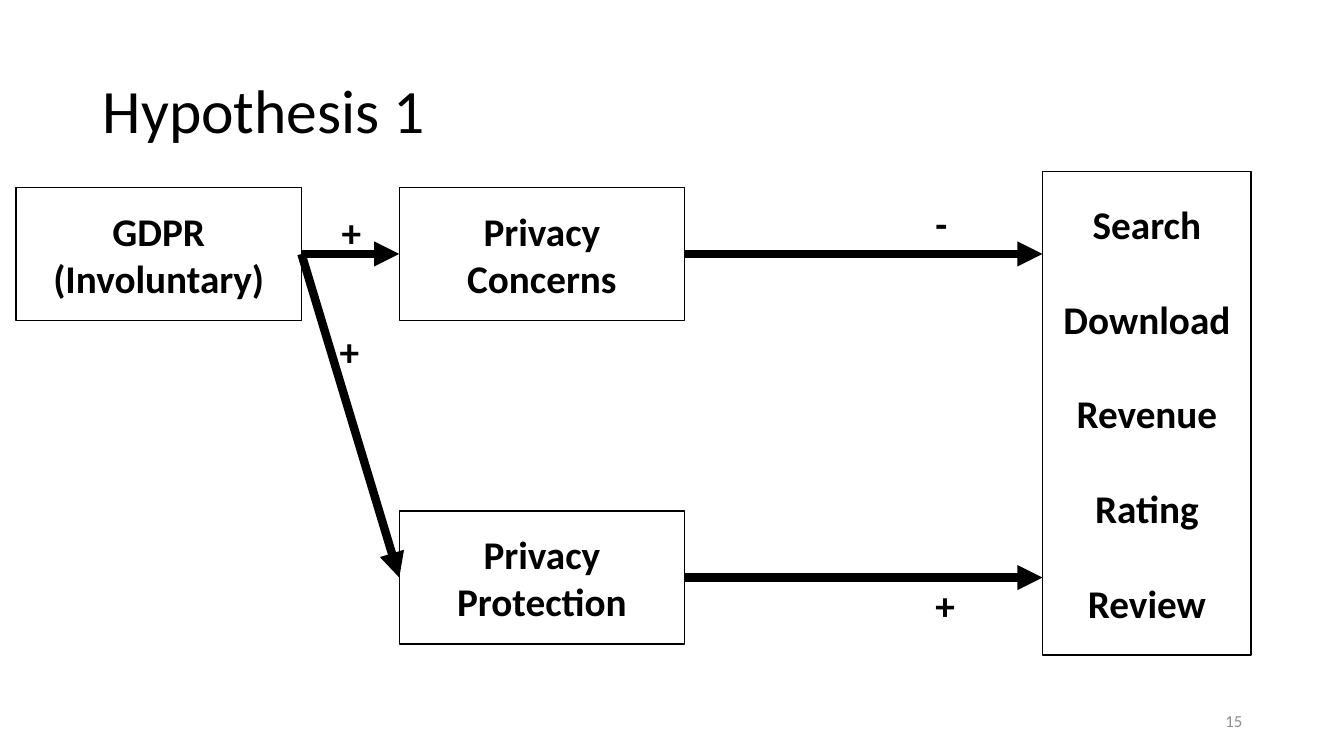
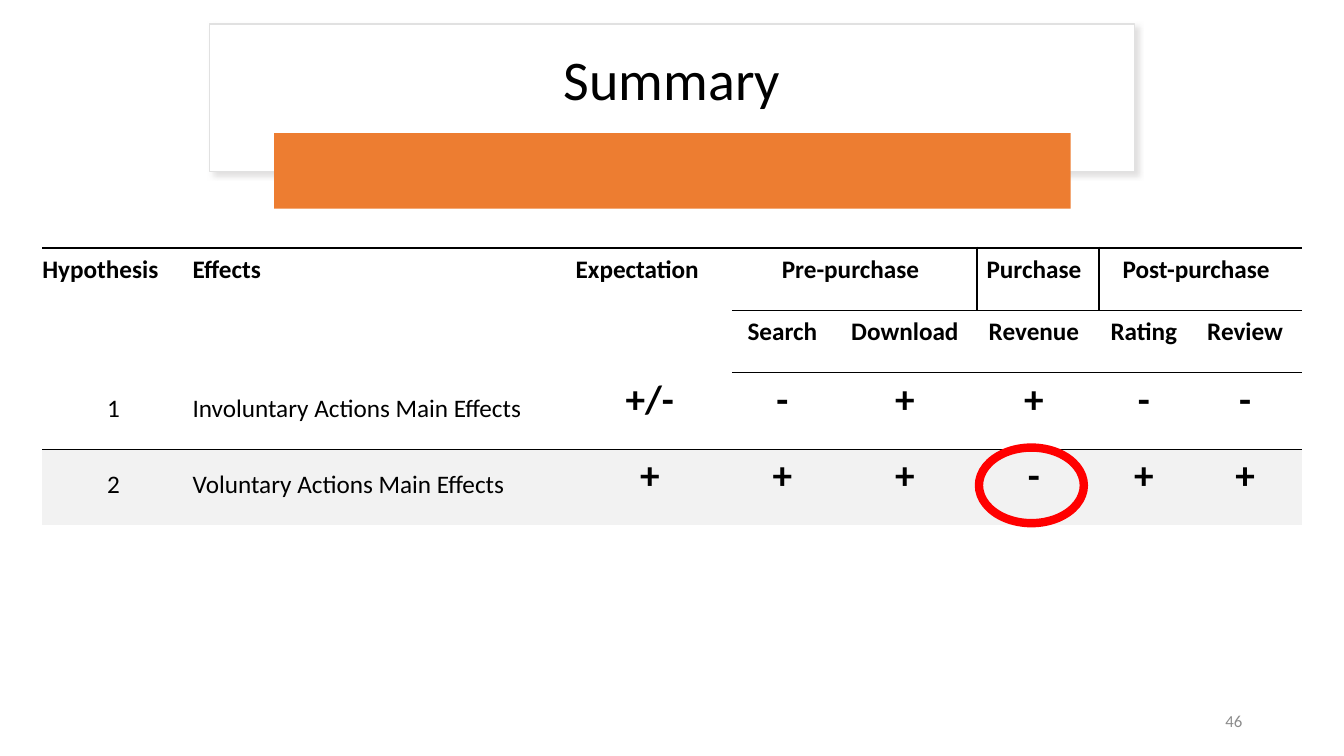
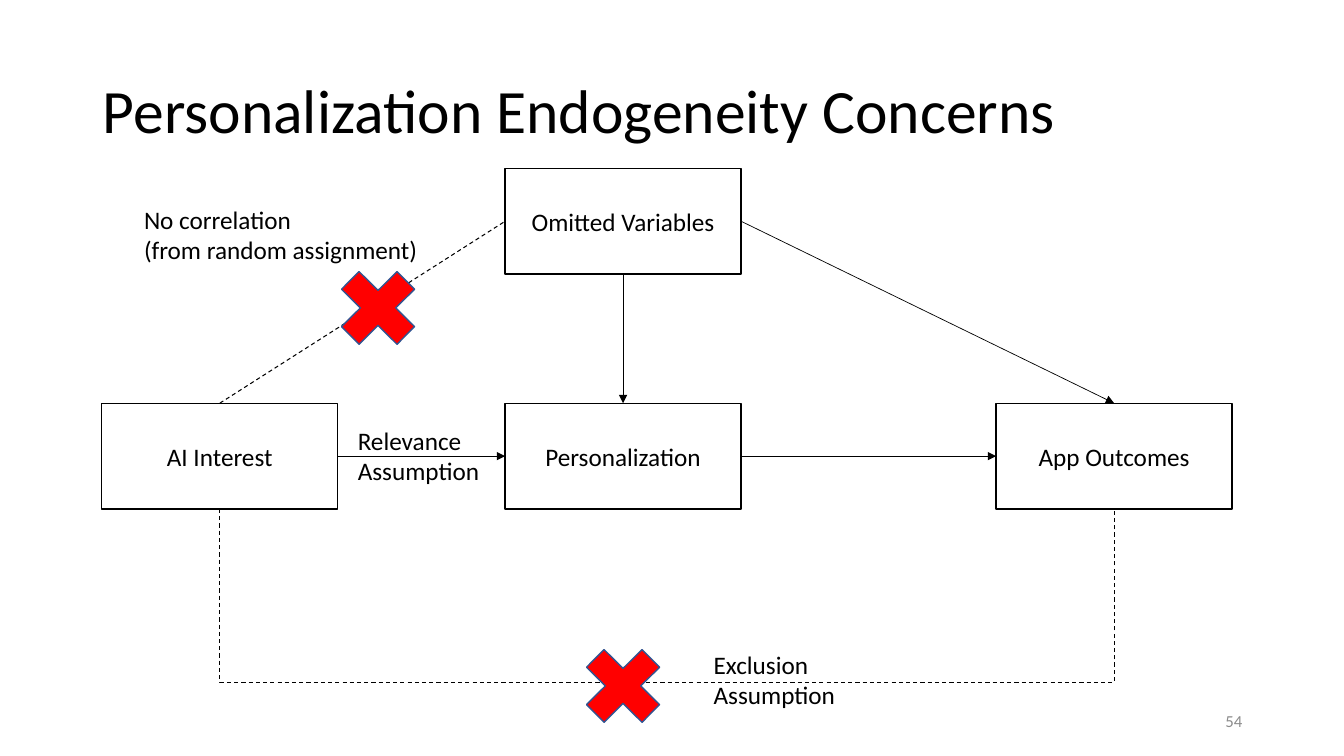
from lxml import etree
from pptx import Presentation
from pptx.dml.color import RGBColor
from pptx.enum.dml import MSO_LINE
from pptx.enum.shapes import MSO_CONNECTOR, MSO_SHAPE
from pptx.enum.text import MSO_ANCHOR, MSO_AUTO_SIZE, PP_ALIGN
from pptx.oxml import parse_xml
from pptx.oxml.ns import nsdecls, qn
from pptx.util import Inches, Pt

# Shared style
COLORS = {
    "ink": "000000", "paper": "FFFFFF", "number": "8C8C8C", "accent": "ED7D31",
    "panel_line": "E1E1E1", "shadow": "C5C3C3", "band": "F2F2F2",
    "red": "FF0000", "cross_line": "325491",
}
FONT = "Calibri"
TITLE_AREA = (0.92, 0.4, 11.5, 1.45)
NUMBER_AREA = (9.42, 6.95, 3, 0.4)
NO_STYLE_TABLE = "{2D5ABB26-0587-4C30-8999-92F81FD0307C}"

# Slide 1: areas are left, top, width, height
CAUSE_SIZE = (2.83, 1.32)
CAUSES = {
    "gdpr": (["GDPR", "(Involuntary)"], (0.16, 1.86)),
    "concerns": (["Privacy Concerns"], (3.96, 1.86)),
    "protection": (["Privacy Protection"], (3.96, 5.07)),
}
OUTCOMES = ["Search", "Download", "Revenue", "Rating", "Review"]
OUTCOMES_AREA = (10.34, 1.7, 2.07, 4.8)
SIGN_SIZE = (0.62, 0.57)
SIGNS = [("+", (3.29, 2.02)), ("+", (3.27, 3.2)),
         ("-", (9.18, 1.93)), ("+", (9.18, 5.72))]

# Slide 2
COLUMN_WIDTHS = [1.49, 3.8, 1.55, 1.08, 1.35, 1.21, 0.97, 1.04]
ROW_HEIGHT = 0.62
SUMMARY_ROWS = [
    ["Hypothesis", "Effects", "Expectation", "Pre-purchase", "", "Purchase",
     "Post-purchase", ""],
    ["", "", "", "Search", "Download", "Revenue", "Rating", "Review"],
    ["1", "Involuntary Actions Main Effects", "+/-", "-", "+", "+", "-", "-"],
    ["2", "Voluntary Actions Main Effects", "+", "+", "+", "-", "+", "+"],
]
MERGED_HEADS = [(3, 4), (6, 7)]
FIRST_OUTCOME = 3
PURCHASE = 5

# Slide 3
NODE_SIZE = (2.34, 1.05)
NODES = {
    "interest": ("AI Interest", (1.01, 4)),
    "personalization": ("Personalization", (5.01, 4)),
    "app": ("App Outcomes", (9.88, 4)),
    "omitted": ("Omitted Variables", (5.01, 1.67)),
}
NODE_ARROWS = [
    ("omitted", "bottom", "personalization", "top"),
    ("omitted", "right", "app", "top"),
    ("interest", "right", "personalization", "left"),
    ("personalization", "right", "app", "left"),
]
EXCLUSION_Y = 6.77
CROSS_SIZE = (1.06, 1.05)
CROSSES = [(3.22, 2.53), (5.65, 6.28)]
NOTES = [
    (["Relevance", "Assumption"], (3.45, 4.17, 2.22, 0.71)),
    (["Exclusion", "Assumption"], (6.98, 6.39, 2.22, 0.71)),
    (["No correlation", "(from random assignment)"], (1.33, 1.98, 3.32, 0.71)),
]


def color(name):
    return RGBColor.from_string(COLORS[name])


def inches(values):
    return [Inches(value) for value in values]


def edge(area, side):
    """Middle of one side of an area."""
    left, top, width, height = area
    x, y = {"left": (0, 0.5), "right": (1, 0.5),
            "top": (0.5, 0), "bottom": (0.5, 1)}[side]
    return left + x * width, top + y * height


def write(frame, lines, size, bold=False, align=PP_ALIGN.LEFT, ink="ink", gap=0):
    for index, line in enumerate(lines):
        paragraph = frame.paragraphs[0] if index == 0 else frame.add_paragraph()
        paragraph.alignment = align
        if index and gap:
            paragraph.space_before = Pt(gap)
        run = paragraph.add_run()
        run.text = line
        run.font.name = FONT
        run.font.size = Pt(size)
        run.font.bold = bold
        run.font.color.rgb = color(ink)


def add_text(slide, lines, area, size, anchor=MSO_ANCHOR.TOP, **style):
    frame = slide.shapes.add_textbox(*inches(area)).text_frame
    frame.word_wrap = True
    frame.vertical_anchor = anchor
    write(frame, lines, size, **style)


def add_figure(slide, kind, area, fill=None, line=None, width=1):
    shape = slide.shapes.add_shape(kind, *inches(area))
    shape.shadow.inherit = False
    if fill:
        shape.fill.solid()
        shape.fill.fore_color.rgb = color(fill)
    else:
        shape.fill.background()
    if line:
        shape.line.color.rgb = color(line)
        shape.line.width = Pt(width)
    else:
        shape.line.fill.background()
    return shape


def add_box(slide, lines, area, size, bold=False, gap=0):
    shape = add_figure(slide, MSO_SHAPE.RECTANGLE, area, "paper", "ink")
    shape.text_frame.word_wrap = True
    shape.text_frame.vertical_anchor = MSO_ANCHOR.MIDDLE
    write(shape.text_frame, lines, size, bold, PP_ALIGN.CENTER, gap=gap)


def add_line(slide, start, end, width, arrow=True, dashed=False):
    connector = slide.shapes.add_connector(
        MSO_CONNECTOR.STRAIGHT, *inches(start + end))
    connector.line.color.rgb = color("ink")
    connector.line.width = Pt(width)
    if dashed:
        connector.line.dash_style = MSO_LINE.DASH
    if arrow:
        etree.SubElement(connector.line._get_or_add_ln(), qn("a:tailEnd"),
                         type="triangle")
    etree.SubElement(connector._element.spPr, qn("a:effectLst"))


def add_title(slide, text, area=TITLE_AREA, size=44, align=PP_ALIGN.LEFT):
    title = slide.shapes.title
    title.left, title.top, title.width, title.height = inches(area)
    frame = title.text_frame
    frame.word_wrap = True
    frame.auto_size = MSO_AUTO_SIZE.NONE
    frame.vertical_anchor = MSO_ANCHOR.MIDDLE
    write(frame, [text], size, align=align)
    frame.paragraphs[0].line_spacing = 0.9
    # Bring the title in front of anything already drawn
    slide.shapes._spTree.append(title._element)


def new_slide(presentation, number):
    slide = presentation.slides.add_slide(presentation.slide_layouts[5])
    add_text(slide, [str(number)], NUMBER_AREA, 12, MSO_ANCHOR.MIDDLE,
             align=PP_ALIGN.RIGHT, ink="number")
    return slide


def set_borders(cell, borders):
    """Borders map a side (L, R, T, B) to a width in points."""
    properties = cell._tc.get_or_add_tcPr()
    sides = [side for side in "LRTB" if side in borders]
    for index, side in enumerate(sides):
        properties.insert(index, parse_xml(
            f'<a:ln{side} {nsdecls("a")} w="{Pt(borders[side])}"><a:solidFill>'
            f'<a:srgbClr val="{COLORS["ink"]}"/></a:solidFill></a:ln{side}>'))


def cell_borders(row, column):
    borders = {}
    if row == 0:
        borders["T"] = 2.25
        if column >= FIRST_OUTCOME:
            borders["B"] = 1
        if column in (PURCHASE, PURCHASE + 1):
            borders["L"] = 1
        if column in (PURCHASE - 1, PURCHASE):
            borders["R"] = 1
    elif row == 1 and column >= FIRST_OUTCOME:
        borders["T"] = 1
    elif row == 2:
        borders["B"] = 0.5
    elif row == 3:
        borders["T"] = 0.5
    return borders


def add_summary_table(slide):
    area = (0.42, 2.46, sum(COLUMN_WIDTHS), ROW_HEIGHT * len(SUMMARY_ROWS))
    table = slide.shapes.add_table(
        len(SUMMARY_ROWS), len(COLUMN_WIDTHS), *inches(area)).table
    table.first_row = table.horz_banding = False
    table._tbl.tblPr.find(qn("a:tableStyleId")).text = NO_STYLE_TABLE
    for column, width in zip(table.columns, COLUMN_WIDTHS):
        column.width = Inches(width)
    for first, last in MERGED_HEADS:
        table.cell(0, first).merge(table.cell(0, last))
    for row, texts in enumerate(SUMMARY_ROWS):
        for column, text in enumerate(texts):
            cell = table.cell(row, column)
            cell.margin_left, cell.margin_top = Inches(0), Inches(0.03)
            cell.margin_right, cell.margin_bottom = Inches(0.08), Inches(0.25)
            cell.vertical_anchor = MSO_ANCHOR.BOTTOM
            if row == 3:
                cell.fill.solid()
                cell.fill.fore_color.rgb = color("band")
            else:
                cell.fill.background()
            set_borders(cell, cell_borders(row, column))
            if text:
                head, sign = row < 2, row >= 2 and column >= 2
                left = column == 1 or (head and column < FIRST_OUTCOME)
                write(cell.text_frame, [text], 28 if sign else 18, head or sign,
                      PP_ALIGN.LEFT if left else PP_ALIGN.CENTER)


def build_hypothesis(presentation):
    slide = new_slide(presentation, 15)
    add_title(slide, "Hypothesis 1")
    add_box(slide, OUTCOMES, OUTCOMES_AREA, 28, True, gap=34)
    areas = {name: place + CAUSE_SIZE for name, (_, place) in CAUSES.items()}
    for name, (lines, _) in CAUSES.items():
        add_box(slide, lines, areas[name], 28, True)
    for name in ("concerns", "protection"):
        add_line(slide, edge(areas["gdpr"], "right"), edge(areas[name], "left"), 6)
        start = edge(areas[name], "right")
        add_line(slide, start, (OUTCOMES_AREA[0], start[1]), 6)
    for sign, place in SIGNS:
        add_text(slide, [sign], place + SIGN_SIZE, 28, bold=True)


def build_summary(presentation):
    slide = new_slide(presentation, 46)
    # Title panel with its accent bar
    panel = add_figure(slide, MSO_SHAPE.RECTANGLE, (2.08, 0.24, 9.17, 1.46),
                       "paper", "panel_line")
    panel._element.spPr.find(qn("a:effectLst")).append(parse_xml(
        f'<a:outerShdw {nsdecls("a")} blurRad="{Pt(4)}" dist="{Pt(3)}" '
        f'dir="2700000" algn="tl" rotWithShape="0">'
        f'<a:srgbClr val="{COLORS["shadow"]}"><a:alpha val="50000"/>'
        f'</a:srgbClr></a:outerShdw>'))
    add_title(slide, "Summary", (2.3, 0.34, 8.73, 0.95), 40, PP_ALIGN.CENTER)
    bar = add_figure(slide, MSO_SHAPE.ROUNDED_RECTANGLE,
                     (2.72, 1.32, 7.9, 0.75), "accent")
    bar.adjustments[0] = 0
    # Findings, with the unexpected one circled
    add_summary_table(slide)
    add_figure(slide, MSO_SHAPE.OVAL, (9.71, 4.44, 1.04, 0.75),
               line="red", width=6)


def build_endogeneity(presentation):
    slide = new_slide(presentation, 54)
    add_title(slide, "Personalization Endogeneity Concerns")
    areas = {name: place + NODE_SIZE for name, (_, place) in NODES.items()}
    for name, (text, _) in NODES.items():
        add_box(slide, [text], areas[name], 18)
    for source, source_side, target, target_side in NODE_ARROWS:
        add_line(slide, edge(areas[source], source_side),
                 edge(areas[target], target_side), 0.5)
    # Ruled-out paths
    add_line(slide, edge(areas["interest"], "top"), edge(areas["omitted"], "left"),
             0.75, arrow=False, dashed=True)
    start, end = edge(areas["interest"], "bottom"), edge(areas["app"], "bottom")
    builder = slide.shapes.build_freeform(*inches(start))
    corners = [(start[0], EXCLUSION_Y), (end[0], EXCLUSION_Y), end]
    builder.add_line_segments([inches(point) for point in corners], close=False)
    exclusion = builder.convert_to_shape()
    exclusion.shadow.inherit = False
    exclusion.fill.background()
    exclusion.line.color.rgb = color("ink")
    exclusion.line.width = Pt(0.75)
    exclusion.line.dash_style = MSO_LINE.DASH
    for place in CROSSES:
        add_figure(slide, MSO_SHAPE.MATH_MULTIPLY, place + CROSS_SIZE,
                   "red", "cross_line")
    for lines, area in NOTES:
        add_text(slide, lines, area, 18)


def main():
    presentation = Presentation()
    presentation.slide_width = Inches(13.33)
    presentation.slide_height = Inches(7.5)
    build_hypothesis(presentation)
    build_summary(presentation)
    build_endogeneity(presentation)
    presentation.save("out.pptx")


if __name__ == "__main__":
    main()
